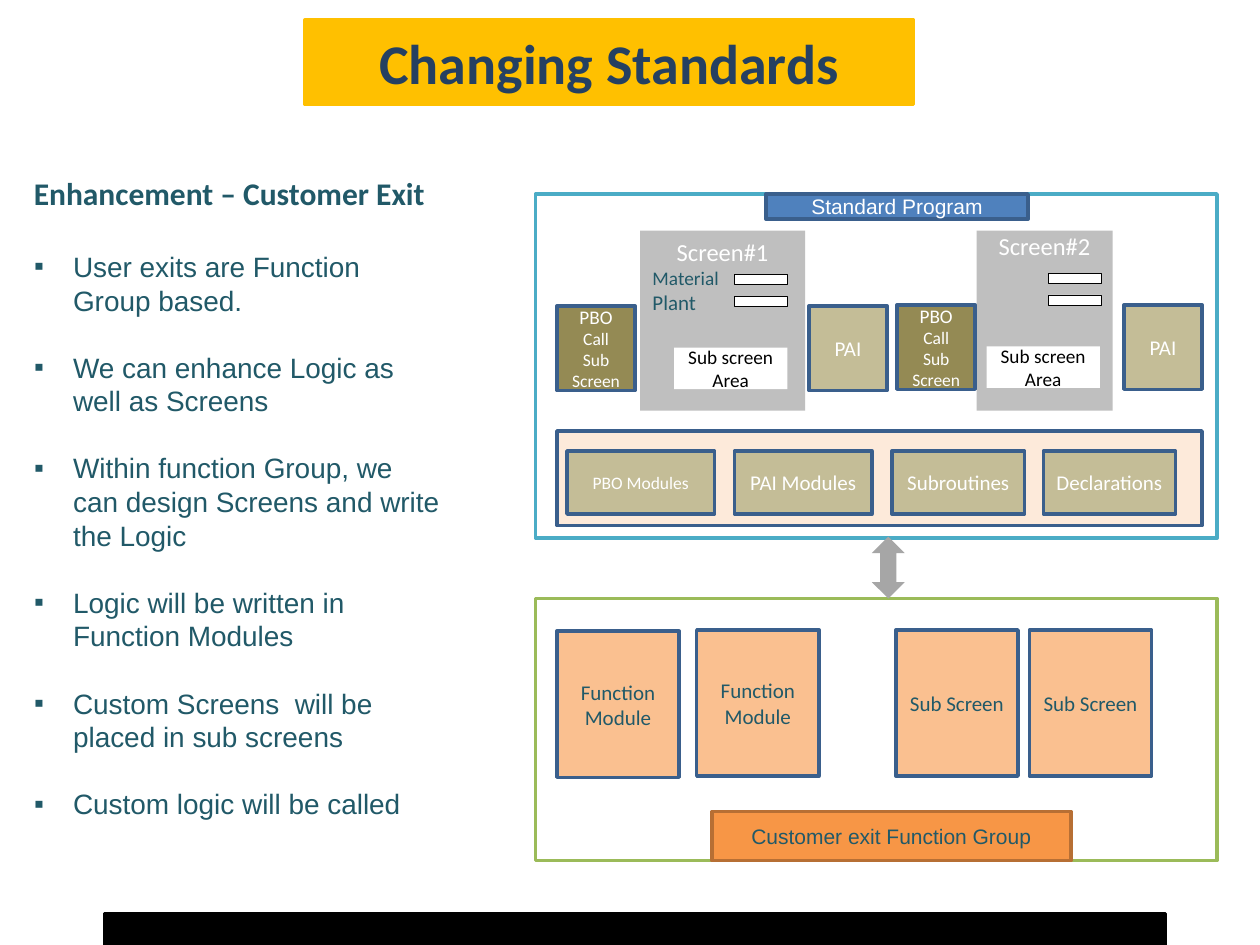
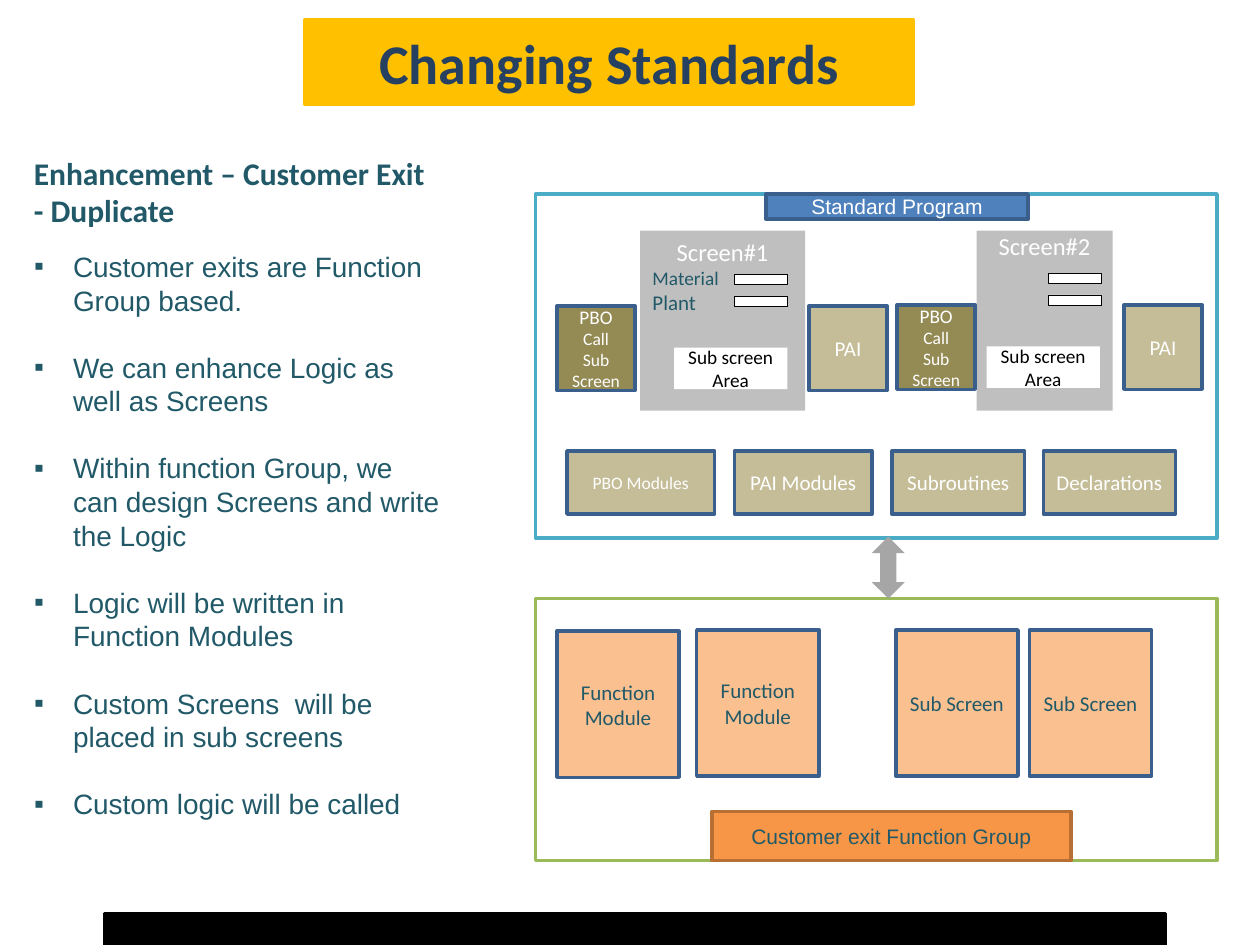
from lxml import etree
from pptx import Presentation
from pptx.dml.color import RGBColor
from pptx.enum.shapes import MSO_SHAPE
from pptx.enum.text import MSO_ANCHOR, MSO_AUTO_SIZE, PP_ALIGN
from pptx.oxml.ns import qn
from pptx.util import Inches, Pt

RECT = MSO_SHAPE.RECTANGLE
PROCESS = MSO_SHAPE.FLOWCHART_PROCESS
UP_DOWN = MSO_SHAPE.UP_DOWN_ARROW
TOP, MIDDLE = MSO_ANCHOR.TOP, MSO_ANCHOR.MIDDLE
LEFT, CENTER = PP_ALIGN.LEFT, PP_ALIGN.CENTER
NO_FIT = MSO_AUTO_SIZE.NONE

COLORS = {
    "white": "FFFFFF", "black": "000000", "gold": "FFC000", "navy": "254061",
    "teal": "215968", "aqua": "4BACC6", "blue": "4F81BD", "edge": "3A5F8C",
    "green": "9BBB59", "orange": "F79646", "rust": "B76F34", "peach": "FAC090",
    "cream": "FDEADA", "screen": "BFBFBF", "olive": "948A54", "khaki": "C4BD97",
    "arrow": "A6A6A6",
}

# Heading, its top and height, first bullet, and whether the modules have a backdrop
SLIDES = [
    ("Enhancement – Customer Exit", 1.33, 0.4,
     "User exits are Function Group based.", True),
    ("Enhancement – Customer Exit - Duplicate", 1.17, 0.71,
     "Customer exits are Function Group based.", False),
]
SHARED_BULLETS = [
    "We can enhance Logic as well as Screens",
    "Within function Group, we can design Screens and write the Logic",
    "Logic will be written in Function Modules",
    "Custom Screens  will be placed in sub screens",
    "Custom logic will be called",
]
MODULES = [("PBO Modules", 4.5, 1.17, 10), ("PAI Modules", 5.83, 1.09, 12),
           ("Subroutines", 7.08, 1.05, 12), ("Declarations", 8.28, 1.05, 12)]
GROUP_MEMBERS = [("Function Module", 4.42, 5.01), ("Function Module", 5.53, 5),
                 ("Sub Screen", 7.11, 5), ("Sub Screen", 8.17, 5)]


def rgb(name):
    return RGBColor.from_string(COLORS[name])


def place(element, left, top, width, height):
    element.left, element.top = Inches(left), Inches(top)
    element.width, element.height = Inches(width), Inches(height)


def paint(element, fill, line=None, weight=2):
    element.fill.solid()
    element.fill.fore_color.rgb = rgb(fill)
    if line:
        element.line.color.rgb = rgb(line)
        element.line.width = Pt(weight)
    else:
        element.line.fill.background()


def style(paragraph, size, color, font="Calibri", bold=False, align=LEFT):
    paragraph.alignment = align
    for run in paragraph.runs:
        run.font.size = Pt(size)
        run.font.name = font
        run.font.bold = bold
        run.font.color.rgb = rgb(color)


def write(frame, lines):
    """Fill a frame with (text, style options) pairs, one per paragraph."""
    frame.word_wrap = True
    frame.text = "\n".join(text for text, _ in lines)
    for paragraph, (_, options) in zip(frame.paragraphs, lines):
        style(paragraph, **options)


def box(slide, area, fill, line=None, lines=(), kind=RECT, weight=2):
    shape = slide.shapes.add_shape(kind, *map(Inches, area))
    shape.shadow.inherit = False
    paint(shape, fill, line, weight)
    if lines:
        write(shape.text_frame, lines)
        shape.text_frame.vertical_anchor = MIDDLE
    return shape


def label(text, size=12, color="white", font="Calibri", align=CENTER):
    return text, dict(size=size, color=color, font=font, align=align)


def add_title_and_footer(slide):
    title = slide.shapes.title
    place(title, 2.42, 0.16, 4.83, 0.67)
    paint(title, "gold", "gold")
    write(title.text_frame, [("Changing Standards", dict(
        size=32, color="navy", bold=True, align=CENTER))])
    title.text_frame.vertical_anchor = MIDDLE
    title.text_frame.auto_size = NO_FIT
    box(slide, (0.83, 7.25, 8.42, 0.25), "black", "black")


def add_heading(slide, text, top, height):
    heading = slide.shapes.add_textbox(*map(Inches, (0.17, top, 3.42, height)))
    write(heading.text_frame, [(text, dict(size=18, color="teal", bold=True))])


def add_bullets(slide, items):
    body = slide.placeholders[1]
    place(body, 0.17, 1.93, 3.42, 4.68)
    write(body.text_frame, [label(item, 16, "teal", "Arial", LEFT) for item in items])
    body.text_frame.auto_size = NO_FIT
    for paragraph in body.text_frame.paragraphs:
        paragraph.line_spacing = Pt(19.2)
        paragraph.space_before = Pt(0)
        paragraph.space_after = Pt(19.2)
        properties = paragraph._p.get_or_add_pPr()
        properties.set("marL", str(Inches(0.31)))
        properties.set("indent", str(-Inches(0.31)))
        etree.SubElement(properties, qn("a:buFont"), typeface="Arial")
        etree.SubElement(properties, qn("a:buChar"), char="▪")


def add_screen(slide, left, width, lines, inset, fields_left, fields_top, area_left):
    """Grey screen with two input fields and a sub screen area."""
    screen = box(slide, (left, 1.83, width, 1.43), "screen", lines=lines)
    screen.text_frame.vertical_anchor = TOP
    screen.text_frame.margin_top = Inches(inset)
    for row in range(2):
        box(slide, (fields_left, fields_top + 0.17 * row, 0.42, 0.08),
            "white", "black", weight=0.25)
    box(slide, (area_left, fields_top + 0.58, 0.9, 0.33), "white",
        lines=[label("Sub screen Area", 11, "black")])


def add_flow_logic(slide, pbo_left, pai_left, top):
    """PBO and PAI steps on either side of a screen."""
    box(slide, (pbo_left, top, 0.62, 0.67), "olive", "edge",
        [label("PBO", 11), label("Call Sub Screen", 10)], PROCESS)
    box(slide, (pai_left, top, 0.62, 0.67), "khaki", "edge", [label("PAI")], PROCESS)


def add_standard_program(slide, with_backdrop):
    box(slide, (4.25, 1.54, 5.41, 2.73), "white", "aqua")
    box(slide, (6.08, 1.54, 2.08, 0.2), "blue", "edge",
        [label("Standard Program", font="Arial")])
    add_screen(slide, 7.75, 1.08, [label("Screen#2", 14)], 0, 8.32, 2.17, 7.83)
    add_screen(slide, 5.08, 1.31,
               [label("Screen#1", 14),
                label("Material", 11, "teal", align=LEFT),
                label("Plant", 12, "teal", align=LEFT)],
               0.05, 5.83, 2.18, 5.35)
    add_flow_logic(slide, 4.42, 6.42, 2.43)
    add_flow_logic(slide, 7.12, 8.92, 2.42)
    if with_backdrop:
        box(slide, (4.42, 3.42, 5.12, 0.75), "cream", "edge")
    for name, left, width, size in MODULES:
        box(slide, (left, 3.58, width, 0.5), "khaki", "edge",
            [label(name, size)], PROCESS)


def add_function_group(slide):
    box(slide, (4.25, 4.75, 5.41, 2.08), "white", "green")
    box(slide, (5.65, 6.44, 2.85, 0.39), "orange", "rust",
        [label("Customer exit Function Group", color="teal", font="Arial")])
    for name, left, top in GROUP_MEMBERS:
        box(slide, (left, top, 0.97, 1.16), "peach", "edge",
            [label(name, color="teal")])
    box(slide, (6.92, 4.26, 0.26, 0.49), "arrow", kind=UP_DOWN)


def main():
    deck = Presentation()
    deck.slide_width, deck.slide_height = Inches(10), Inches(7.5)
    for heading, top, height, first_bullet, with_backdrop in SLIDES:
        slide = deck.slides.add_slide(deck.slide_layouts[1])
        add_title_and_footer(slide)
        add_bullets(slide, [first_bullet] + SHARED_BULLETS)
        add_heading(slide, heading, top, height)
        add_standard_program(slide, with_backdrop)
        add_function_group(slide)
    deck.save("out.pptx")


if __name__ == "__main__":
    main()
